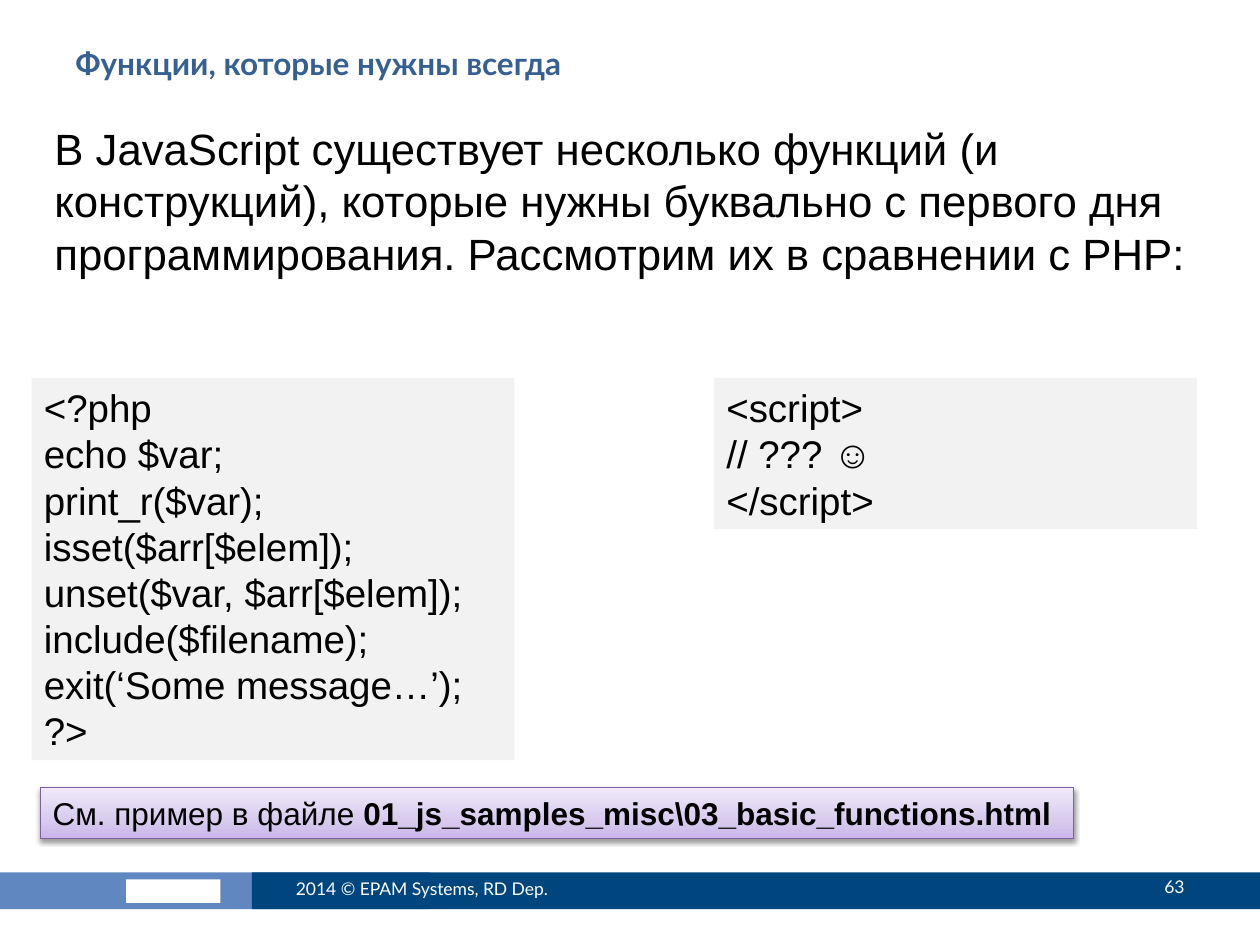
import pptx
import pptx.util
import pptx.dml.color
import pptx.enum.shapes
import pptx.enum.text
import pptx.oxml
import pptx.oxml.ns

Pt = pptx.util.Pt
Enum = pptx.enum.text
TOP, MID = Enum.MSO_ANCHOR.TOP, Enum.MSO_ANCHOR.MIDDLE
LEFT, RIGHT = Enum.PP_ALIGN.LEFT, Enum.PP_ALIGN.RIGHT
GROW, FIXED = Enum.MSO_AUTO_SIZE.SHAPE_TO_FIT_TEXT, Enum.MSO_AUTO_SIZE.NONE

# Content: each paragraph is a list of (text, bold) runs
TITLE = [[("Функции, которые нужны всегда", True)]]
INTRO = [[("В JavaScript существует несколько функций (и конструкций), которые нужны "
           "буквально с первого дня программирования. Рассмотрим их в сравнении с PHP:", False)]]
PHP = ["<?php", "echo $var;", "print_r($var);", "isset($arr[$elem]);",
       "unset($var, $arr[$elem]);", "include($filename);", "exit(‘Some message…’);", "?>"]
SCRIPT = ["<script>", "// ??? ☺", "</script>"]
NOTE = [[("См. пример в файле ", False),
         ("01_js_samples_misc\\03_basic_functions.html", True)]]
CREDIT = [[("2014 © EPAM Systems, RD Dep.", False)]]
PAGE = [[("63", False)]]

# Places: left, top, width, height in points
BARS = [((-1.5, 498.5, 247, 21), "6087BF"), ((144, 498.5, 576, 21), "00467E")]
LOGO = (72, 502.5, 54, 13.5)
CODES = [(18, PHP), (408, SCRIPT)]
CODE_TOP, CODE_WIDE, LINE, PAD = 216, 276, 26.4, 7.2

# Text styles: font values and colour
HEAD = ({"name": "Lato", "size": Pt(18)}, "376092")
FOOT = ({"name": "Lato", "size": Pt(10)}, "FFFFFF")
BODY = ({"name": "Arial", "size": Pt(25)}, "000000")
CODE = ({"name": "Arial", "size": Pt(22)}, "000000")
HINT = ({"name": "Arial", "size": Pt(18)}, "000000")

# Note box: gradient stops (percent, colour) and line
STOPS = [(0, "C9B5E8"), (35, "D8CBEE"), (100, "F0EAF9")]
EDGE = "7D60A0"


def rgb(code):
    return pptx.dml.color.RGBColor.from_string(code)


def rect(slide, place, fill=None):
    kind = pptx.enum.shapes.MSO_SHAPE.RECTANGLE
    shape = slide.shapes.add_shape(kind, *map(Pt, place))
    shape.shadow.inherit = False
    shape.line.fill.background()
    if fill:
        shape.fill.solid()
        shape.fill.fore_color.rgb = rgb(fill)
    return shape


def label(slide, place):
    return slide.shapes.add_textbox(*map(Pt, place))


def write(shape, paras, style, align=LEFT, **extra):
    frame = shape.text_frame
    form = {"word_wrap": True, "auto_size": FIXED, "vertical_anchor": TOP, **extra}
    for key, value in form.items():
        setattr(frame, key, value)
    for i, runs in enumerate(paras):
        para = frame.add_paragraph() if i else frame.paragraphs[0]
        para.alignment = align
        for text, bold in runs:
            run = para.add_run()
            run.text = text
            for key, value in {**style[0], "bold": bold}.items():
                setattr(run.font, key, value)
            run.font.color.rgb = rgb(style[1])


def shade(shape):
    """Add the three-stop gradient, the edge and the soft shadow."""
    space = pptx.oxml.ns.nsdecls("a")
    stops = "".join(f'<a:gs pos="{pos * 1000}"><a:srgbClr val="{code}"/></a:gs>'
                    for pos, code in STOPS)
    grad = pptx.oxml.parse_xml(
        f'<a:gradFill {space} rotWithShape="1"><a:gsLst>{stops}</a:gsLst>'
        '<a:lin ang="16200000" scaled="0"/></a:gradFill>')
    cast = pptx.oxml.parse_xml(
        f'<a:outerShdw {space} blurRad="{Pt(3.1)}" dist="{Pt(1.6)}" dir="5400000" '
        'rotWithShape="0"><a:srgbClr val="000000"><a:alpha val="38000"/>'
        '</a:srgbClr></a:outerShdw>')
    props = shape.element.spPr
    props.find(pptx.oxml.ns.qn("a:prstGeom")).addnext(grad)
    props.find(pptx.oxml.ns.qn("a:effectLst")).append(cast)
    shape.line.color.rgb = rgb(EDGE)
    shape.line.width = Pt(0.75)


def main():
    deck = pptx.Presentation()
    deck.slide_width, deck.slide_height = Pt(720), Pt(540)
    slide = deck.slides.add_slide(deck.slide_layouts[6])

    # Footer bars with a plain mark
    for place, fill in BARS:
        rect(slide, place, fill)
    rect(slide, LOGO, "FFFFFF")

    # Title, footer texts and intro
    write(label(slide, (36, 21.6, 648, 56)), TITLE, HEAD)
    write(label(slide, (162, 493.5, 192, 28.8)), CREDIT, FOOT, vertical_anchor=MID)
    write(label(slide, (606, 492, 78, 28.8)), PAGE, FOOT, RIGHT, vertical_anchor=MID)
    write(label(slide, (24, 66, 666, 98)), INTRO, BODY, auto_size=GROW)

    # Code panels, as tall as their lines
    for left, lines in CODES:
        tall = len(lines) * LINE + PAD
        panel = rect(slide, (left, CODE_TOP, CODE_WIDE, tall), "F2F2F2")
        write(panel, [[(line, False)] for line in lines], CODE, auto_size=GROW)

    # Note on the sample file
    note = rect(slide, (23, 450, 590.5, 29))
    shade(note)
    write(note, NOTE, HINT, auto_size=GROW, word_wrap=False)

    deck.save("out.pptx")


if __name__ == "__main__":
    main()
